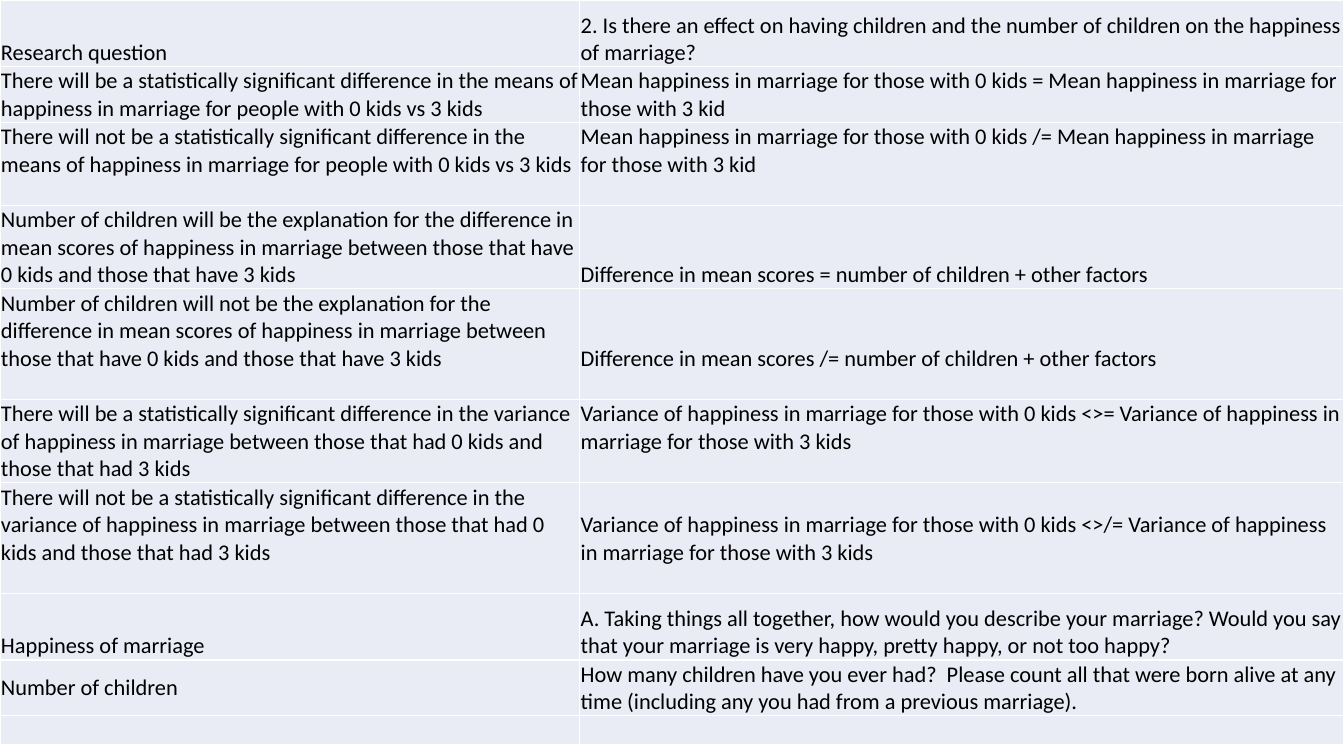
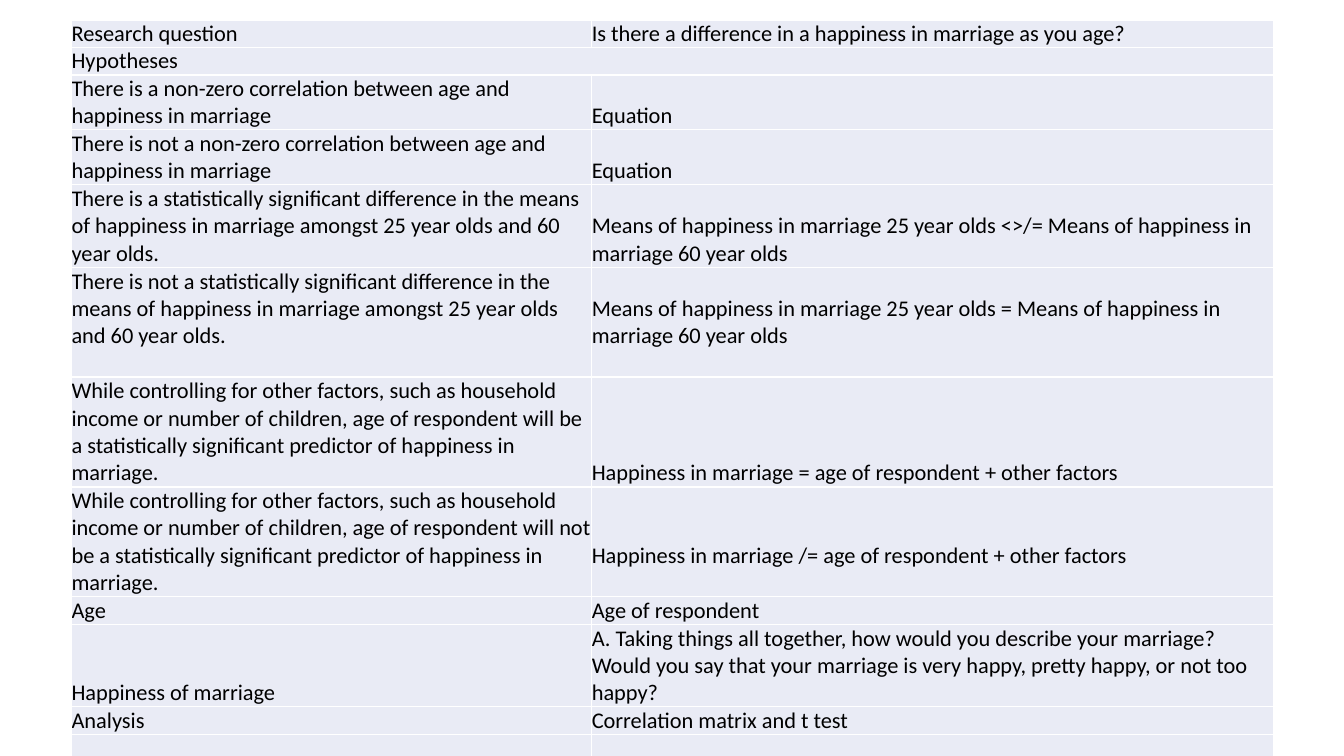
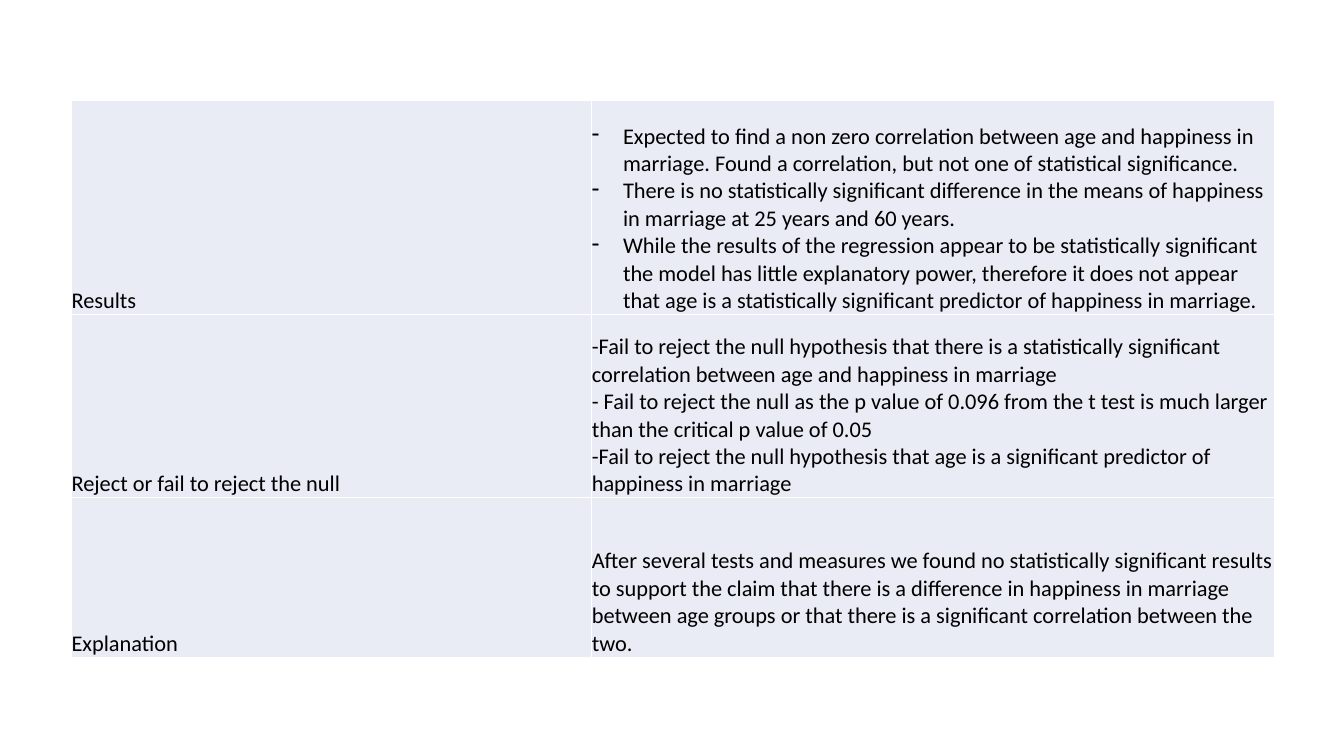
from dataclasses import dataclass

from lxml import etree
from pptx import Presentation
from pptx import util as u
from pptx.dml.color import RGBColor
from pptx.enum import text
from pptx.oxml import ns

TOP, MIDDLE, BOTTOM = (text.MSO_ANCHOR.TOP, text.MSO_ANCHOR.MIDDLE,
                       text.MSO_ANCHOR.BOTTOM)


@dataclass(frozen=True)
class Theme:
    font: str = "Calibri"
    size: int = 16
    ink: str = "000000"
    fill: str = "E9EBF5"
    border: str = "FFFFFF"
    border_pt: float = 1
    line: float = 0.27
    hang: float = 0.31


THEME = Theme()


@dataclass(frozen=True)
class Cell:
    """Paragraphs of one cell; gap leaves one line free below them."""
    paras: tuple[str, ...] = ()
    gap: bool = False
    bullet: str = ""
    anchor: text.MSO_ANCHOR = BOTTOM


@dataclass(frozen=True)
class Row:
    height: float
    label: Cell
    detail: Cell | None = None  # None: the label spans both columns


@dataclass(frozen=True)
class Grid:
    left: float
    top: float
    widths: tuple[float, float]
    inset: float
    rows: tuple[Row, ...]


def c(*paras: str, gap: bool = False, bullet: str = "", anchor=BOTTOM) -> Cell:
    return Cell(paras, gap, bullet, anchor)


HAPPINESS = c("A. Taking things all together, how would you describe your marriage? Would you say that your marriage is very happy, pretty happy, or not too happy?")
HAPPINESS_LABEL = c("Happiness of marriage")
QUESTION_LABEL = c("Research question")

CHILDREN = Grid(0, 0, (5.75, 7.58), 0.01, (
    Row(0.66, QUESTION_LABEL,
        c("2. Is there an effect on having children and the number of children on the happiness of marriage?")),
    Row(0.55, c("There will be a statistically significant difference in the means of happiness in marriage for people with 0 kids vs 3 kids"),
        c("Mean happiness in marriage for those with 0 kids = Mean happiness in marriage for those with 3 kid")),
    Row(0.82, c("There will not be a statistically significant difference in the means of happiness in marriage for people with 0 kids vs 3 kids", gap=True),
        c("Mean happiness in marriage for those with 0 kids /= Mean happiness in marriage for those with 3 kid", gap=True)),
    Row(0.82, c("Number of children will be the explanation for the difference in mean scores of happiness in marriage between those that have 0 kids and those that have 3 kids"),
        c("Difference in mean scores = number of children + other factors")),
    Row(1.1, c("Number of children will not be the explanation for the difference in mean scores of happiness in marriage between those that have 0 kids and those that have 3 kids", gap=True),
        c("Difference in mean scores /= number of children + other factors", gap=True)),
    Row(0.82, c("There will be a statistically significant difference in the variance of happiness in marriage between those that had 0 kids and those that had 3 kids"),
        c("Variance of happiness in marriage for those with 0 kids <>= Variance of happiness in marriage for those with 3 kids", gap=True)),
    Row(1.1, c("There will not be a statistically significant difference in the variance of happiness in marriage between those that had 0 kids and those that had 3 kids", gap=True),
        c("Variance of happiness in marriage for those with 0 kids <>/= Variance of happiness in marriage for those with 3 kids", gap=True)),
    Row(0.66, HAPPINESS_LABEL, HAPPINESS),
    Row(0.55, c("Number of children", anchor=MIDDLE),
        c("How many children have you ever had?  Please count all that were born alive at any time (including any you had from a previous marriage).", anchor=MIDDLE)),
    Row(0.28, c(), c()),
))

AGE = Grid(0.71, 0.2, (5.16, 6.76), 0, (
    Row(0.27, QUESTION_LABEL, c("Is there a difference in a happiness in marriage as you age?")),
    Row(0.27, c("Hypotheses")),
    Row(0.54, c("There is a non-zero correlation between age and happiness in marriage"), c("Equation")),
    Row(0.54, c("There is not a non-zero correlation between age and happiness in marriage"), c("Equation")),
    Row(0.82, c("There is a statistically significant difference in the means of happiness in marriage amongst 25 year olds and 60 year olds."),
        c("Means of happiness in marriage 25 year olds <>/= Means of happiness in marriage 60 year olds")),
    Row(1.09, c("There is not a statistically significant difference in the means of happiness in marriage amongst 25 year olds and 60 year olds.", gap=True),
        c("Means of happiness in marriage 25 year olds = Means of happiness in marriage 60 year olds", gap=True)),
    Row(1.09, c("While controlling for other factors, such as household income or number of children, age of respondent will be a statistically significant predictor of happiness in marriage."),
        c("Happiness in marriage = age of respondent + other factors")),
    Row(1.09, c("While controlling for other factors, such as household income or number of children, age of respondent will not be a statistically significant predictor of happiness in marriage."),
        c("Happiness in marriage /= age of respondent + other factors", gap=True)),
    Row(0.27, c("Age"), c("Age of respondent")),
    Row(0.82, HAPPINESS_LABEL, HAPPINESS),
    Row(0.27, c("Analysis"), c("Correlation matrix and t test")),
    Row(0.27, c(), c()),
))

RESULTS = Grid(0.71, 1, (5.16, 6.77), 0, (
    Row(2.12, c("Results"), c(
        "Expected to find a non zero correlation between age and happiness in marriage. Found a correlation, but not one of statistical significance.",
        "There is no statistically significant difference in the means of happiness in marriage at 25 years and 60 years.",
        "While the results of the regression appear to be statistically significant the model has little explanatory power, therefore it does not appear that age is a statistically significant predictor of happiness in marriage.",
        bullet="-")),
    Row(1.82, c("Reject or fail to reject the null"), c(
        "-Fail to reject the null hypothesis that there is a statistically significant correlation between age and happiness in marriage",
        "- Fail to reject the null as the p value of 0.096 from the t test is much larger than the critical p value of 0.05",
        "-Fail to reject the null hypothesis that age is a significant predictor of happiness in marriage")),
    Row(1.58, c("Explanation"), c(
        "After several tests and measures we found no statistically significant results to support the claim that there is a difference in happiness in marriage between age groups or that there is a significant correlation between the two.")),
))


def add_text(p, value: str, *, size: int = THEME.size, font: str = THEME.font,
             color: str = THEME.ink, bullet: str = "") -> None:
    r = p.add_run()
    r.text = value
    r.font.size, r.font.name = u.Pt(size), font
    r.font.color.rgb = RGBColor.from_string(color)
    if bullet:
        hang = u.Inches(THEME.hang)
        props = p._p.get_or_add_pPr()
        props.set("marL", str(hang))
        props.set("indent", str(-hang))
        etree.SubElement(props, ns.qn("a:buChar")).set("char", bullet)


def set_borders(cell) -> None:
    props = cell._tc.get_or_add_tcPr()
    for i, side in enumerate(("lnL", "lnR", "lnT", "lnB")):
        ln = etree.Element(ns.qn(f"a:{side}"), w=str(u.Pt(THEME.border_pt)))
        fill = etree.SubElement(ln, ns.qn("a:solidFill"))
        etree.SubElement(fill, ns.qn("a:srgbClr")).set("val", THEME.border)
        props.insert(i, ln)


def style_cell(cell, inset: float) -> None:
    cell.fill.solid()
    cell.fill.fore_color.rgb = RGBColor.from_string(THEME.fill)
    cell.margin_left = cell.margin_right = cell.margin_top = u.Inches(inset)
    cell.margin_bottom = 0
    set_borders(cell)


def fill_cell(cell, content: Cell) -> None:
    cell.vertical_anchor = content.anchor
    if content.gap:
        cell.margin_bottom = u.Inches(THEME.line)
    tf = cell.text_frame
    for i, value in enumerate(content.paras):
        p = tf.paragraphs[0] if i == 0 else tf.add_paragraph()
        add_text(p, value, bullet=content.bullet)
    if not content.paras:  # keeps an empty row at the height of one line
        end = etree.SubElement(tf.paragraphs[0]._p, ns.qn("a:endParaRPr"))
        end.set("sz", str(THEME.size * 100))
        etree.SubElement(end, ns.qn("a:latin")).set("typeface", THEME.font)


def add_grid(slide, grid: Grid) -> None:
    height = sum(row.height for row in grid.rows)
    table = slide.shapes.add_table(
        len(grid.rows), len(grid.widths), u.Inches(grid.left), u.Inches(grid.top),
        u.Inches(sum(grid.widths)), u.Inches(height)).table
    table.first_row = table.horz_banding = False
    for column, width in zip(table.columns, grid.widths):
        column.width = u.Inches(width)
    for i, row in enumerate(grid.rows):
        table.rows[i].height = u.Inches(row.height)
        label, detail = table.cell(i, 0), table.cell(i, 1)
        for cell in (label, detail):
            style_cell(cell, grid.inset)
        fill_cell(label, row.label)
        if row.detail is None:
            label.merge(detail)
        else:
            fill_cell(detail, row.detail)


def main() -> None:
    prs = Presentation()
    prs.slide_width, prs.slide_height = u.Inches(13.33), u.Inches(7.5)
    for grid in (CHILDREN, AGE, RESULTS):
        add_grid(prs.slides.add_slide(prs.slide_layouts[6]), grid)
    prs.save("out.pptx")


if __name__ == "__main__":
    main()
